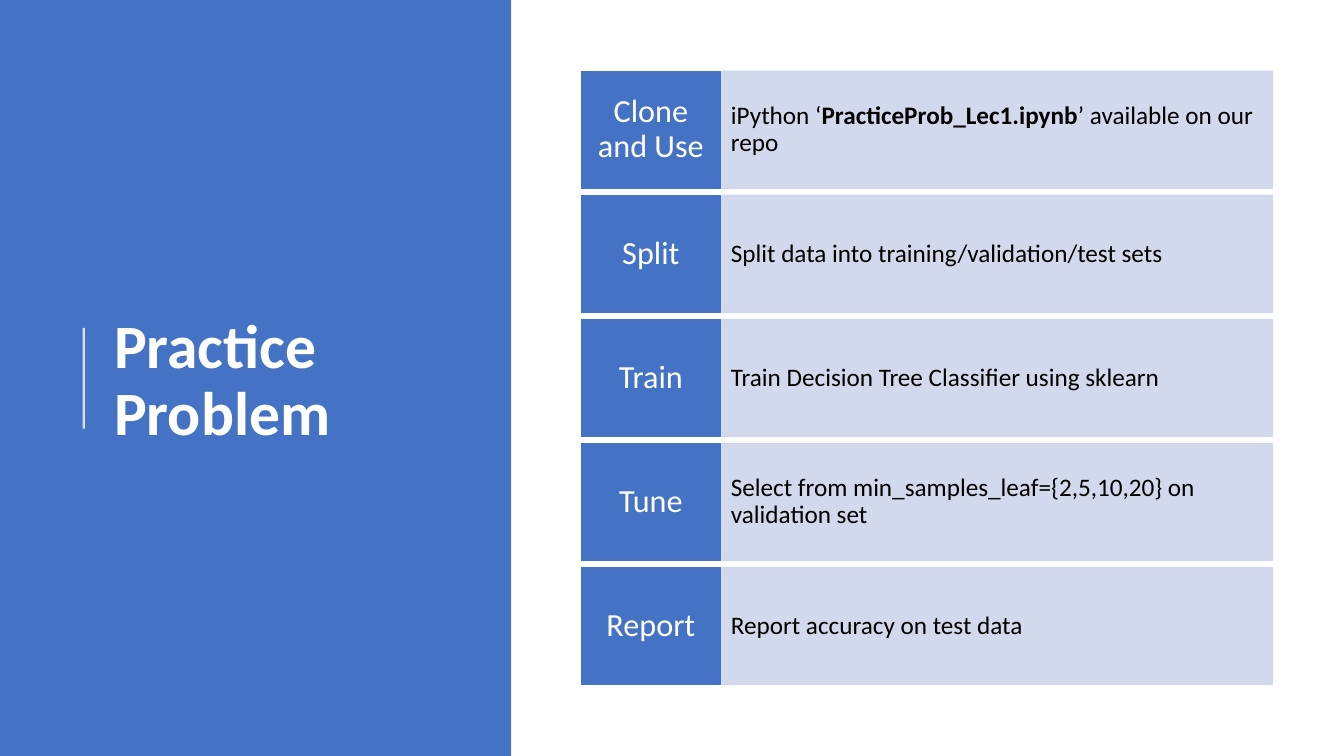
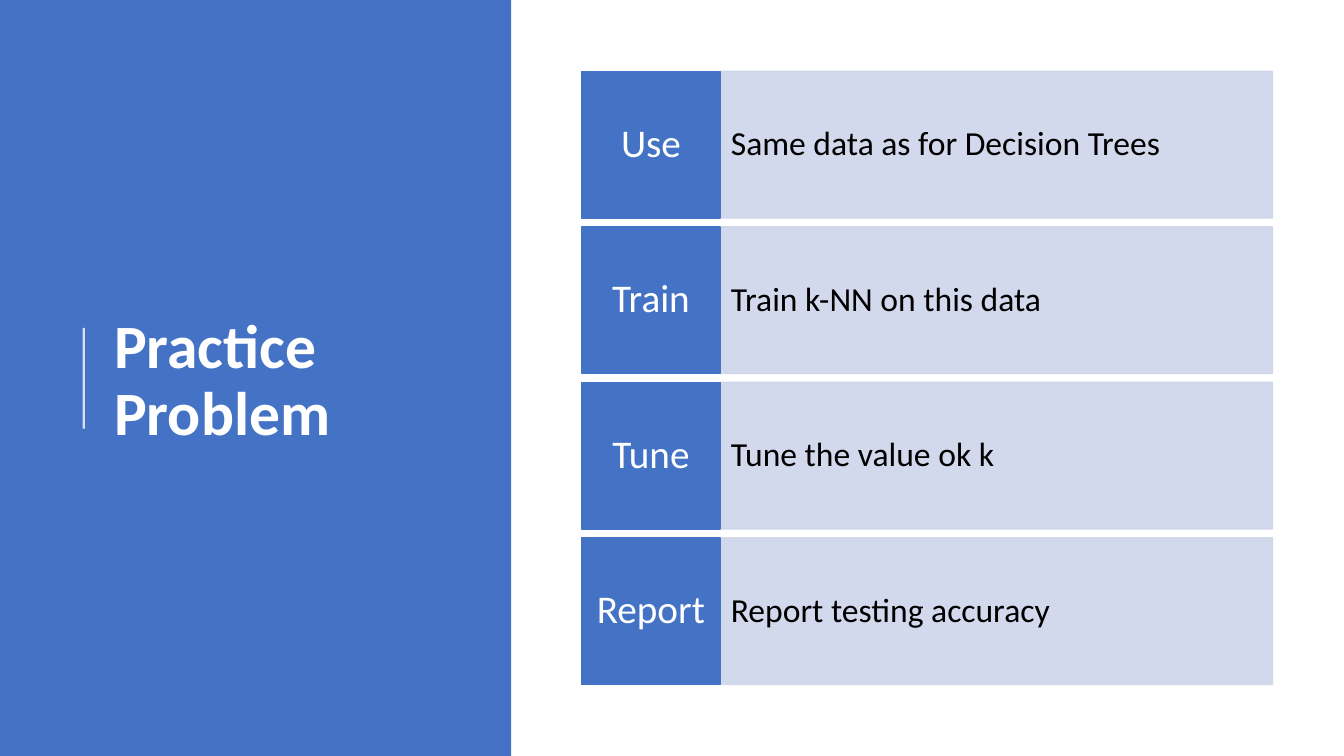
from lxml.etree import SubElement
from pptx import Presentation
from pptx.dml.color import RGBColor
from pptx.enum.shapes import MSO_CONNECTOR, MSO_SHAPE
from pptx.enum.text import MSO_ANCHOR, PP_ALIGN
from pptx.oxml.ns import qn
from pptx.util import Cm, Pt

# Content: each step is a label and its description; bold marks part of it
TITLE = "Practice Problem"
SLIDES = [
    {
        "label_size": 23,
        "text_size": 18,
        "bold": "PracticeProb_Lec1.ipynb",
        "steps": [
            ("Clone and Use", "iPython ‘PracticeProb_Lec1.ipynb’ available on our repo"),
            ("Split", "Split data into training/validation/test sets"),
            ("Train", "Train Decision Tree Classifier using sklearn"),
            ("Tune", "Select from min_samples_leaf={2,5,10,20} on validation set"),
            ("Report", "Report accuracy on test data"),
        ],
    },
    {
        "label_size": 28,
        "text_size": 24,
        "bold": None,
        "steps": [
            ("Use", "Same data as for Decision Trees"),
            ("Train", "Train k-NN on this data"),
            ("Tune", "Tune the value ok k"),
            ("Report", "Report testing accuracy"),
        ],
    },
]

# Shared style
FONT = "Calibri"
BLUE = RGBColor(0x44, 0x72, 0xC4)
PALE = RGBColor(0xCF, 0xD5, 0xEA)
WHITE = RGBColor(0xFF, 0xFF, 0xFF)
BLACK = RGBColor(0x00, 0x00, 0x00)

# Shared layout, in centimetres
SLIDE_WIDTH, SLIDE_HEIGHT = 33.87, 19.05
BAND_WIDTH = 12.88
RULE_LEFT, RULE_TOP, RULE_BOTTOM = 2.11, 8.26, 10.8
TITLE_BOX = (2.62, 1.98, 9.37, 15.29)
STEPS_LEFT, STEPS_TOP, STEPS_HEIGHT = 14.66, 1.8, 15.45
LABEL_WIDTH, TEXT_WIDTH = 3.49, 13.92
GAP_RATIO = 0.06  # gap between rows, as a share of the row height


def set_opacity(fill_format, percent):
    """Make every solid colour below the given element partly transparent."""
    for color in fill_format.iter(qn("a:srgbClr")):
        SubElement(color, qn("a:alpha"), val=str(percent * 1000))


def format_paragraph(paragraph, size, color, alignment, bold=False):
    paragraph.alignment = alignment
    paragraph.line_spacing = 0.9
    for run in paragraph.runs:
        run.font.name = FONT
        run.font.size = Pt(size)
        run.font.bold = bold
        run.font.color.rgb = color


def add_rectangle(slide, left, top, width, height, color, outlined=True):
    shape = slide.shapes.add_shape(
        MSO_SHAPE.RECTANGLE, Cm(left), Cm(top), Cm(width), Cm(height))
    shape.shadow.inherit = False
    shape.fill.solid()
    shape.fill.fore_color.rgb = color
    if outlined:
        shape.line.color.rgb = color
        shape.line.width = Pt(1)
    else:
        shape.line.fill.background()
    return shape


def set_margins(text_frame, side, vertical):
    text_frame.word_wrap = True
    text_frame.vertical_anchor = MSO_ANCHOR.MIDDLE
    text_frame.margin_left = text_frame.margin_right = Cm(side)
    text_frame.margin_top = text_frame.margin_bottom = Cm(vertical)


def add_title_band(slide):
    add_rectangle(slide, 0, 0, BAND_WIDTH, SLIDE_HEIGHT, BLUE, outlined=False)

    # Thin rule beside the title
    rule = slide.shapes.add_connector(
        MSO_CONNECTOR.STRAIGHT,
        Cm(RULE_LEFT), Cm(RULE_BOTTOM), Cm(RULE_LEFT), Cm(RULE_TOP))
    rule.line.color.rgb = WHITE
    rule.line.width = Pt(1.5)
    properties = rule.element.spPr
    set_opacity(properties, 80)
    SubElement(properties, qn("a:effectLst"))

    # Title, brought in front of the band
    title = slide.shapes.title
    title.left, title.top, title.width, title.height = map(Cm, TITLE_BOX)
    title.text_frame.text = TITLE
    title.text_frame.vertical_anchor = MSO_ANCHOR.MIDDLE
    format_paragraph(title.text_frame.paragraphs[0], 44, WHITE, PP_ALIGN.LEFT, bold=True)
    rule.element.addnext(title.element)


def add_description(slide, top, height, text, bold, size):
    panel = add_rectangle(
        slide, STEPS_LEFT + LABEL_WIDTH, top, TEXT_WIDTH, height, PALE)
    set_opacity(panel.element.spPr, 90)
    set_margins(panel.text_frame, 0.27, 0.25 * height)
    paragraph = panel.text_frame.paragraphs[0]
    parts = text.partition(bold) if bold else (text,)
    for part in filter(None, parts):
        paragraph.add_run().text = part
    format_paragraph(paragraph, size, BLACK, PP_ALIGN.LEFT)
    for run in paragraph.runs:
        run.font.bold = run.text == bold


def add_label(slide, top, height, text, size):
    label = add_rectangle(slide, STEPS_LEFT, top, LABEL_WIDTH, height, BLUE)
    set_margins(label.text_frame, 0.18, 0.1 * height)
    label.text_frame.text = text
    format_paragraph(label.text_frame.paragraphs[0], size, WHITE, PP_ALIGN.CENTER)


def add_steps(slide, content):
    steps = content["steps"]
    height = STEPS_HEIGHT / (len(steps) + GAP_RATIO * (len(steps) - 1))
    for index, (label, text) in enumerate(steps):
        top = STEPS_TOP + index * height * (1 + GAP_RATIO)
        add_description(slide, top, height, text, content["bold"], content["text_size"])
        add_label(slide, top, height, label, content["label_size"])


def main():
    presentation = Presentation()
    presentation.slide_width = Cm(SLIDE_WIDTH)
    presentation.slide_height = Cm(SLIDE_HEIGHT)
    title_only = presentation.slide_layouts.get_by_name("Title Only")
    for content in SLIDES:
        slide = presentation.slides.add_slide(title_only)
        add_title_band(slide)
        add_steps(slide, content)
    presentation.save("out.pptx")


if __name__ == "__main__":
    main()
